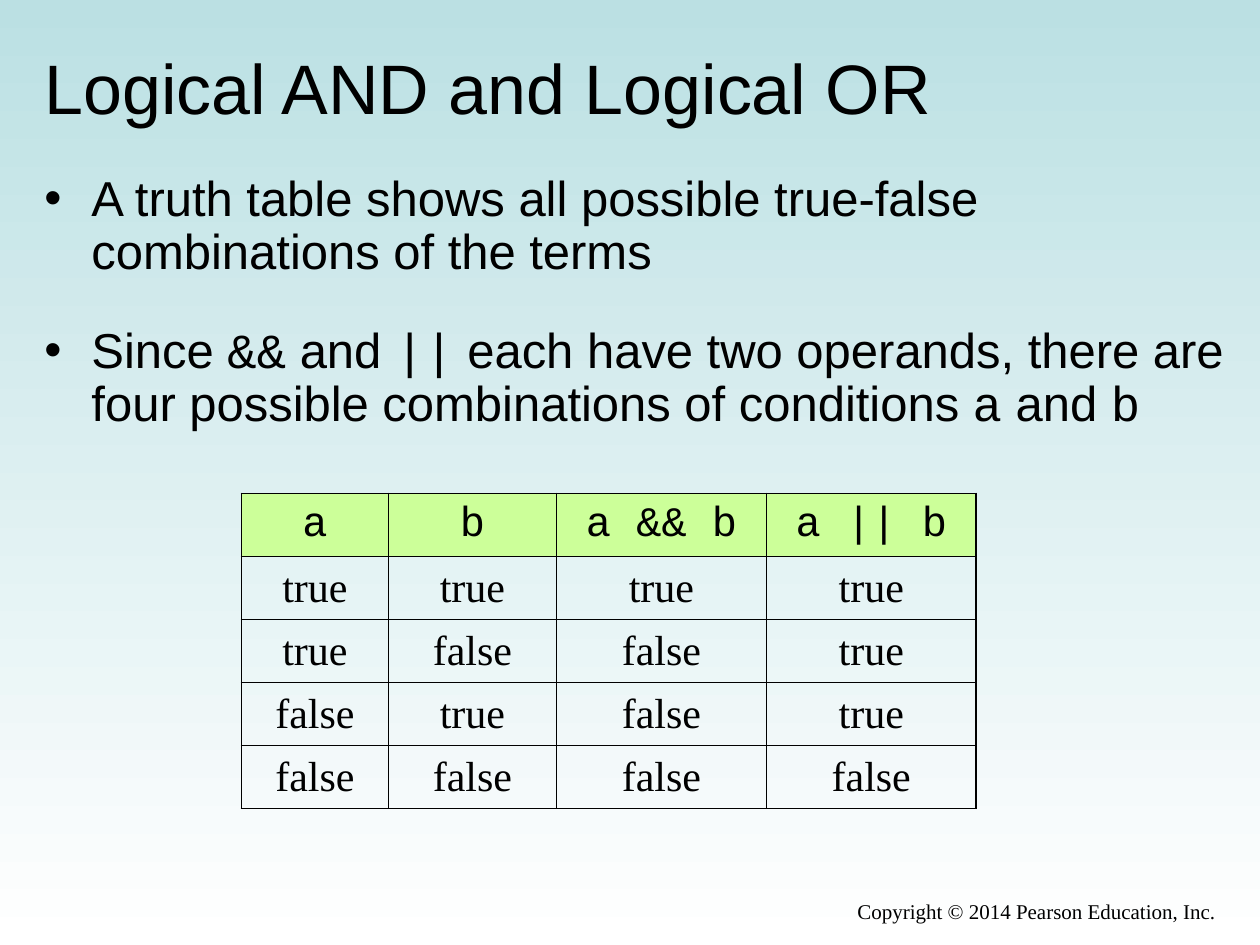
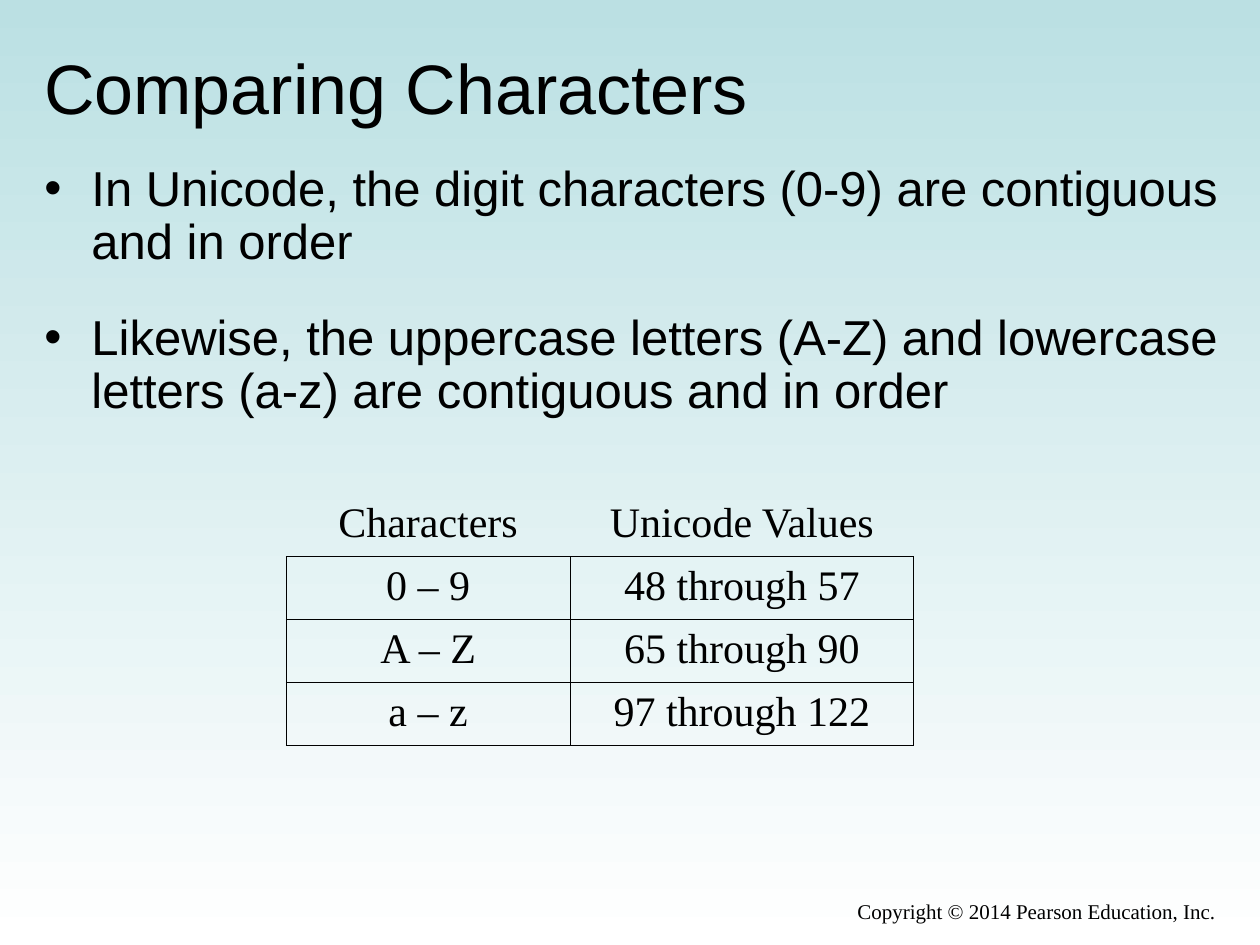
import dataclasses

import lxml.etree
import pptx
import pptx.dml.color
import pptx.enum.text
import pptx.oxml.ns
import pptx.util

Cm = pptx.util.Cm
Pt = pptx.util.Pt
RGBColor = pptx.dml.color.RGBColor
Align = pptx.enum.text.PP_ALIGN
Anchor = pptx.enum.text.MSO_ANCHOR
qn = pptx.oxml.ns.qn


@dataclasses.dataclass(frozen=True)
class Theme:
    ink: str = "000000"
    sky: str = "BBE0E3"
    paper: str = "FFFFFF"
    header: str = "CCFF99"
    sans: str = "Arial"
    serif: str = "Times New Roman"
    mono: str = "Courier New"
    title_size: float = 40
    body_size: float = 28
    table_size: float = 24
    footer_size: float = 12
    thin: float = 0.45
    heavy: float = 1.08


class Deck:
    """Holds the theme and the slide being filled."""

    def __init__(self, theme):
        self.theme = theme
        self.presentation = pptx.Presentation()
        self.presentation.slide_width = Cm(25.4)
        self.presentation.slide_height = Cm(19.05)
        self.slide = None
        self.paint_background()

    def paint_background(self):
        fill = self.presentation.slide_master.background.fill
        fill.gradient()
        fill.gradient_angle = 270
        stops = zip(fill.gradient_stops, (self.theme.sky, self.theme.paper), (0, 1))
        for stop, color, position in stops:
            stop.color.rgb = RGBColor.from_string(color)
            stop.position = position

    def add_slide(self, title):
        layout = self.presentation.slide_layouts[1]
        self.slide = self.presentation.slides.add_slide(layout)
        self.title(title)
        self.footer("Copyright © 2014 Pearson Education, Inc.")

    def place(self, shape, left, top, width, height):
        shape.left, shape.top = Cm(left), Cm(top)
        shape.width, shape.height = Cm(width), Cm(height)

    def frame(self, shape, anchor):
        text_frame = shape.text_frame
        text_frame.word_wrap = True
        text_frame.auto_size = pptx.enum.text.MSO_AUTO_SIZE.NONE
        text_frame.vertical_anchor = anchor
        return text_frame

    def run(self, paragraph, text, font, size):
        run = paragraph.add_run()
        run.text = text
        run.font.name = font
        run.font.size = Pt(size)
        run.font.color.rgb = RGBColor.from_string(self.theme.ink)

    def title(self, text):
        shape = self.slide.shapes.title
        self.place(shape, 0.64, 0.76, 24.13, 1.98)
        paragraph = self.frame(shape, Anchor.MIDDLE).paragraphs[0]
        paragraph.alignment = Align.LEFT
        self.run(paragraph, text, self.theme.sans, self.theme.title_size)

    def footer(self, text):
        shape = self.slide.shapes.add_textbox(Cm(9.31), Cm(17.98), Cm(15.45), Cm(0.86))
        paragraph = self.frame(shape, Anchor.TOP).paragraphs[0]
        paragraph.alignment = Align.RIGHT
        self.run(paragraph, text, self.theme.serif, self.theme.footer_size)

    def bullet(self, paragraph):
        properties = paragraph._p.get_or_add_pPr()
        properties.set("marL", str(Cm(0.95)))
        properties.set("indent", str(-Cm(0.95)))
        color = lxml.etree.SubElement(properties, qn("a:buClr"))
        lxml.etree.SubElement(color, qn("a:srgbClr"), val=self.theme.ink)
        lxml.etree.SubElement(properties, qn("a:buFont"), typeface=self.theme.sans)
        lxml.etree.SubElement(properties, qn("a:buChar"), char="•")

    def bullets(self, items, top, height, gap):
        """Write a bulleted list; text between backticks is set as code."""
        shape = self.slide.placeholders[1]
        self.place(shape, 0.64, top, 24.34, height)
        text_frame = self.frame(shape, Anchor.TOP)
        for index, item in enumerate(items):
            paragraph = text_frame.add_paragraph() if index else text_frame.paragraphs[0]
            self.bullet(paragraph)
            paragraph.line_spacing = 0.9
            paragraph.space_before = Pt(gap if index else 0)
            for part, text in enumerate(item.split("`")):
                if text:
                    font = self.theme.mono if part % 2 else self.theme.sans
                    self.run(paragraph, text, font, self.theme.body_size)

    def border(self, cell, side, width):
        """Draw one cell edge; a width of 0 hides it."""
        properties = cell._tc.get_or_add_tcPr()
        line = lxml.etree.SubElement(properties, qn(f"a:ln{side}"), w=str(Pt(width)))
        if width:
            fill = lxml.etree.SubElement(line, qn("a:solidFill"))
            lxml.etree.SubElement(fill, qn("a:srgbClr"), val=self.theme.ink)
        else:
            lxml.etree.SubElement(line, qn("a:noFill"))

    def table(self, rows, left, widths, heavy_columns=(), heavy_rows=(),
              code_header=False):
        """Add a table; the heavy indexes count grid lines from the top left."""
        theme = self.theme
        row_height = 1.27
        frame = self.slide.shapes.add_table(
            len(rows), len(widths), Cm(left), Cm(9.95),
            Cm(sum(widths)), Cm(row_height * len(rows)))
        table = frame.table
        table.first_row = table.horz_banding = False
        for column, width in zip(table.columns, widths):
            column.width = Cm(width)

        def weight(line, heavy_lines):
            return theme.heavy if line in heavy_lines else theme.thin

        for r, row in enumerate(rows):
            table.rows[r].height = Cm(row_height)
            for c, text in enumerate(row):
                cell = table.cell(r, c)
                cell.vertical_anchor = Anchor.MIDDLE if code_header else Anchor.TOP
                edges = {"L": weight(c, heavy_columns),
                         "R": weight(c + 1, heavy_columns),
                         "T": weight(r, heavy_rows),
                         "B": weight(r + 1, heavy_rows)}
                if r == 0 and not code_header:
                    edges.update(L=0, R=0, T=0)
                for side, width in edges.items():
                    self.border(cell, side, width)
                is_code = code_header and r == 0
                if is_code:
                    cell.fill.solid()
                    cell.fill.fore_color.rgb = RGBColor.from_string(theme.header)
                else:
                    cell.fill.background()
                paragraph = cell.text_frame.paragraphs[0]
                paragraph.alignment = Align.CENTER
                font = theme.mono if is_code else theme.serif
                self.run(paragraph, text, font, theme.table_size)


def main():
    deck = Deck(Theme())

    # Truth table
    deck.add_slide("Logical AND and Logical OR")
    deck.bullets(
        ["A truth table shows all possible true-false combinations of the terms",
         "Since `&&` and `||` each have two operands, there are four possible "
         "combinations of conditions `a` and `b`"],
        top=3.39, height=5.93, gap=26.2)
    truth_rows = [("a", "b", "a && b", "a || b")]
    for a in (True, False):
        for b in (True, False):
            truth_rows.append([str(value).lower() for value in (a, b, a and b, a or b)])
    deck.table(truth_rows, left=4.87, widths=(2.96, 3.39, 4.23, 4.23),
               heavy_columns=(0, 2, 4), heavy_rows=(0, 1, 5), code_header=True)

    # Character ranges
    deck.add_slide("Comparing Characters")
    deck.bullets(
        ["In Unicode, the digit characters (0-9) are contiguous and in order",
         "Likewise, the uppercase letters (A-Z) and lowercase letters (a-z) "
         "are contiguous and in order"],
        top=3.18, height=6.35, gap=24.5)
    range_rows = [("Characters", "Unicode Values")]
    for first, last in ("09", "AZ", "az"):
        range_rows.append((f"{first} – {last}", f"{ord(first)} through {ord(last)}"))
    deck.table(range_rows, left=5.77, widths=(5.72, 6.93))

    deck.presentation.save("out.pptx")


if __name__ == "__main__":
    main()
